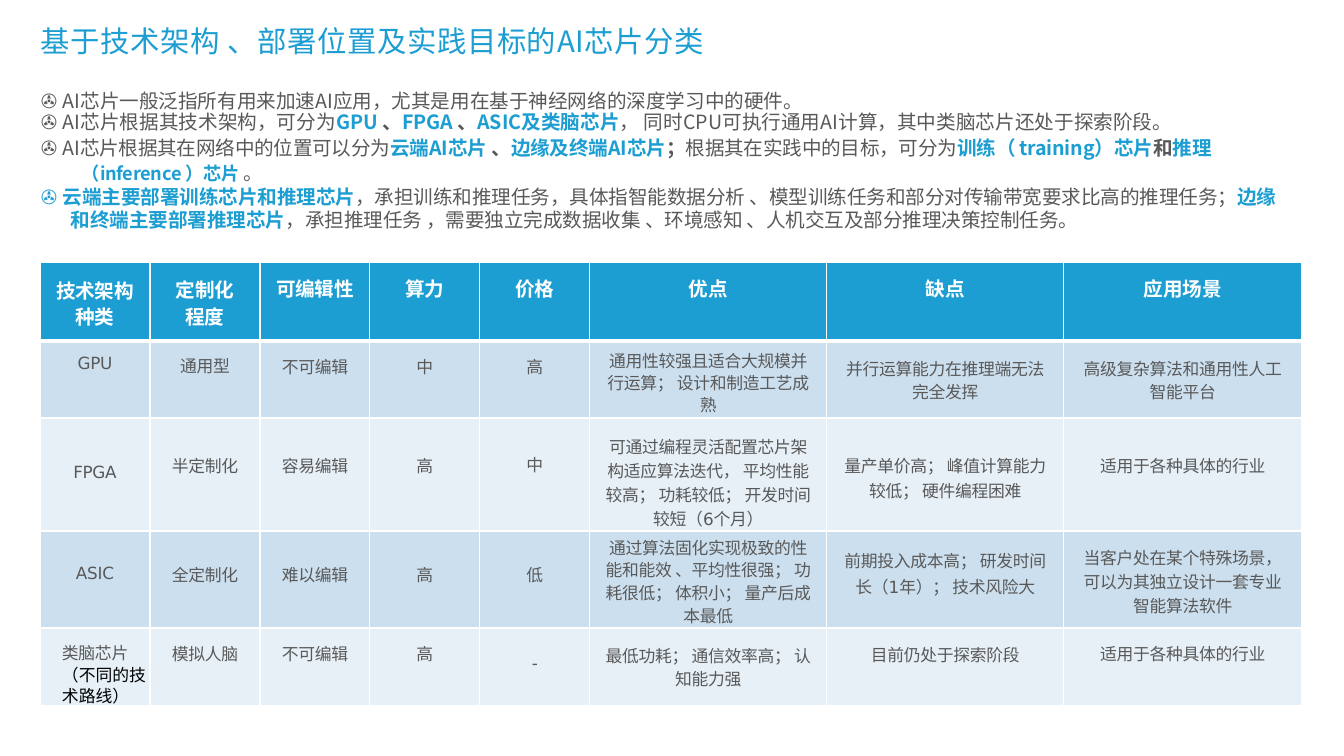
from dataclasses import dataclass

from lxml import etree
from pptx import Presentation
from pptx import util as u
from pptx.dml.color import RGBColor
from pptx.enum import text
from pptx.oxml.ns import qn

SCALE = 914400 / 100.8  # EMU in one px
COLORS = {"blue": "1D9ED2", "gray": "595959", "white": "FFFFFF", "black": "000000",
          "band_dark": "CCDFEE", "band_light": "E7F0F7"}
CJK, LATIN, SYMBOL = "Noto Sans CJK SC", "DejaVu Sans", "Arial"


@dataclass
class Cell:
    text: str
    y: int  # centre of the first line on the slide
    pitch: int = 22


@dataclass
class Span:
    text: str
    color: str = "gray"
    bold: bool = False
    size: int = 14
    font: str = CJK


@dataclass
class Point:
    pitch: int
    hang: int
    spacing: int
    spans: list[Span]


def px(n: float) -> u.Emu:
    return u.Emu(round(n * SCALE))


def rgb(name: str) -> RGBColor:
    return RGBColor.from_string(COLORS[name])


def set_font(f, size: int, color: str, bold: bool = False, latin: str = CJK,
             east: str = CJK, spacing: int = 0) -> None:
    f.size, f.bold, f.name = u.Pt(size), bold, latin
    f.color.rgb = rgb(color)
    etree.SubElement(f._rPr, qn("a:ea"), typeface=east)
    f._rPr.set("spc", str(spacing))


def add_box(slide, left: int, top: int, width: int, height: int):
    tf = slide.shapes.add_textbox(px(left), px(top), px(width), px(height)).text_frame
    tf.word_wrap = True
    tf.margin_left = tf.margin_top = tf.margin_right = tf.margin_bottom = 0
    return tf


def set_borders(cell, top: int, bottom: int) -> None:
    tc_pr = cell._tc.get_or_add_tcPr()
    for i, (side, width) in enumerate((("L", 1), ("R", 1), ("T", top), ("B", bottom))):
        ln = etree.Element(qn(f"a:ln{side}"), w=str(u.Pt(width)))
        fill = etree.SubElement(ln, qn("a:solidFill"))
        etree.SubElement(fill, qn("a:srgbClr"), val=COLORS["white"])
        tc_pr.insert(i, ln)


def fill_cell(cell, item: Cell, row: int, row_top: int) -> None:
    header = row == 0
    half = 13 if header else 11  # glyph centre above the line's bottom
    cell.margin_left = cell.margin_right = cell.margin_bottom = 0
    cell.margin_top = px(item.y - item.pitch + half - row_top)
    cell.fill.solid()
    cell.fill.fore_color.rgb = rgb("blue" if header else
                                   "band_dark" if row % 2 else "band_light")
    set_borders(cell, 3 if row == 1 else 1, 3 if header else 1)
    p = cell.text_frame.paragraphs[0]
    p.text = item.text
    p.alignment = text.PP_ALIGN.CENTER
    p.line_spacing = px(item.pitch)
    if header:
        set_font(p.font, 14, "white", True, spacing=-20)
    else:
        set_font(p.font, 12, "gray", latin=LATIN, spacing=-20)


def add_point(p, point: Point) -> None:
    p.line_spacing = u.Pt(point.pitch)
    p_pr = p._p.get_or_add_pPr()
    p_pr.set("marL", str(px(point.hang + 1)))
    p_pr.set("indent", str(-px(point.hang)))
    for span in point.spans:
        if span.text == "\n":
            p.add_line_break()
            continue
        r = p.add_run()
        r.text = span.text
        set_font(r.font, span.size, span.color, span.bold, span.font, span.font, point.spacing)


def key(words: str, size: int = 14) -> Span:
    return Span(words, "blue", True, size)


def mark(color: str = "gray") -> Span:
    return Span("✇ ", color, font=SYMBOL)


COMMA, BREAK = Span("、", bold=True), Span("\n")
POINTS = [
    Point(17, 0, -5, [mark(), Span("AI芯片一般泛指所有用来加速AI应用，尤其是用在基于神经网络的深度学习中的硬件。")]),
    Point(15, 0, 0, [
        mark(), Span("AI芯片根据其技术架构，可分为"), key("GPU "), COMMA, key("FPGA "), COMMA,
        key("ASIC及类脑芯片"), Span("， 同时CPU可执行通用AI计算，其中类脑芯片还处于探索阶段。")]),
    Point(18, 41, -20, [
        mark(), Span("AI芯片根据其在网络中的位置可以分为"), key("云端AI芯片 "), COMMA,
        key("边缘及终端AI芯片"), Span("；", bold=True), Span("根据其在实践中的目标，可分为"),
        key("训练（ training）芯片"), Span("和", bold=True), key("推理"), BREAK,
        key("（inference ）芯片 ", 13), Span("。")]),
    Point(17, 30, -10, [
        mark("blue"), key("云端主要部署训练芯片和推理芯片"),
        Span("，承担训练和推理任务，具体指智能数据分析 、模型训练任务和部分对传输带宽要求比高的推理任务；"),
        key("边缘"), BREAK, key("和终端主要部署推理芯片"),
        Span("，承担推理任务 ，需要独立完成数据收集 、环境感知 、人机交互及部分推理决策控制任务。")]),
]

LEFT, TOP = 40, 262
COLS = [110] * 5 + [237, 237, 238]
ROWS = [79, 77, 113, 97, 78]
CHIPS = [
    [Cell("技术架构\n种类", 291, 26), Cell("定制化\n程度", 290, 27), Cell("可编辑性", 289, 26),
     Cell("算力", 289, 26), Cell("价格", 289, 26), Cell("优点", 289, 26),
     Cell("缺点", 289, 26), Cell("应用场景", 289, 26)],
    [Cell("GPU", 363), Cell("通用型", 366), Cell("不可编辑", 367), Cell("中", 367), Cell("高", 367),
     Cell("通用性较强且适合大规模并\n行运算； 设计和制造工艺成\n熟", 361),
     Cell("并行运算能力在推理端无法\n完全发挥", 369, 23),
     Cell("高级复杂算法和通用性人工\n智能平台", 369, 23)],
    [Cell("FPGA", 472), Cell("半定制化", 466), Cell("容易编辑", 466), Cell("高", 466), Cell("中", 465),
     Cell("可通过编程灵活配置芯片架\n构适应算法迭代， 平均性能\n较高； 功耗较低； 开发时间\n较短（6个月）", 447, 24),
     Cell("量产单价高； 峰值计算能力\n较低； 硬件编程困难", 466, 25),
     Cell("适用于各种具体的行业", 466)],
    [Cell("ASIC", 573), Cell("全定制化", 575), Cell("难以编辑", 575), Cell("高", 575), Cell("低", 575),
     Cell("通过算法固化实现极致的性\n能和能效 、平均性很强； 功\n耗很低； 体积小； 量产后成\n本最低", 548, 23),
     Cell("前期投入成本高； 研发时间\n长（1年）； 技术风险大", 561, 26),
     Cell("当客户处在某个特殊场景，\n可以为其独立设计一套专业\n智能算法软件", 558, 24)],
    [Cell("类脑芯片", 653, 21), Cell("模拟人脑", 654), Cell("不可编辑", 654), Cell("高", 654), Cell("-", 663),
     Cell("最低功耗； 通信效率高； 认\n知能力强", 656, 23),
     Cell("目前仍处于探索阶段", 655), Cell("适用于各种具体的行业", 654)],
]


def main() -> None:
    prs = Presentation()
    prs.slide_width, prs.slide_height = px(1344), px(756)
    slide = prs.slides.add_slide(prs.slide_layouts[6])

    # Comparison table
    table = slide.shapes.add_table(len(ROWS), len(COLS), px(LEFT), px(TOP),
                                   px(sum(COLS)), px(sum(ROWS))).table
    table.horz_banding = False
    for column, width in zip(table.columns, COLS):
        column.width = px(width)
    for i, (height, items) in enumerate(zip(ROWS, CHIPS)):
        table.rows[i].height = px(height)
        for j, item in enumerate(items):
            fill_cell(table.cell(i, j), item, i, TOP + sum(ROWS[:i]))

    # Remark under the brain-like chip
    brain = table.cell(len(ROWS) - 1, 0)
    brain.margin_left = px(22)
    tf = brain.text_frame
    tf.paragraphs[0].alignment = text.PP_ALIGN.LEFT
    p = tf.add_paragraph()
    p.text = "（不同的技术路线）"
    p.line_spacing = px(21)
    set_font(p.font, 12, "black", latin=SYMBOL, east=SYMBOL)

    # Key points
    tf = add_box(slide, 40, 89, 1249, 143)
    for i, point in enumerate(POINTS):
        add_point(tf.add_paragraph() if i else tf.paragraphs[0], point)

    # Title
    p = add_box(slide, 41, 22, 1270, 37).paragraphs[0]
    p.text = "基于技术架构 、部署位置及实践目标的AI芯片分类"
    p.line_spacing = px(36)
    set_font(p.font, 21, "blue", spacing=40)

    prs.save("out.pptx")


if __name__ == "__main__":
    main()
